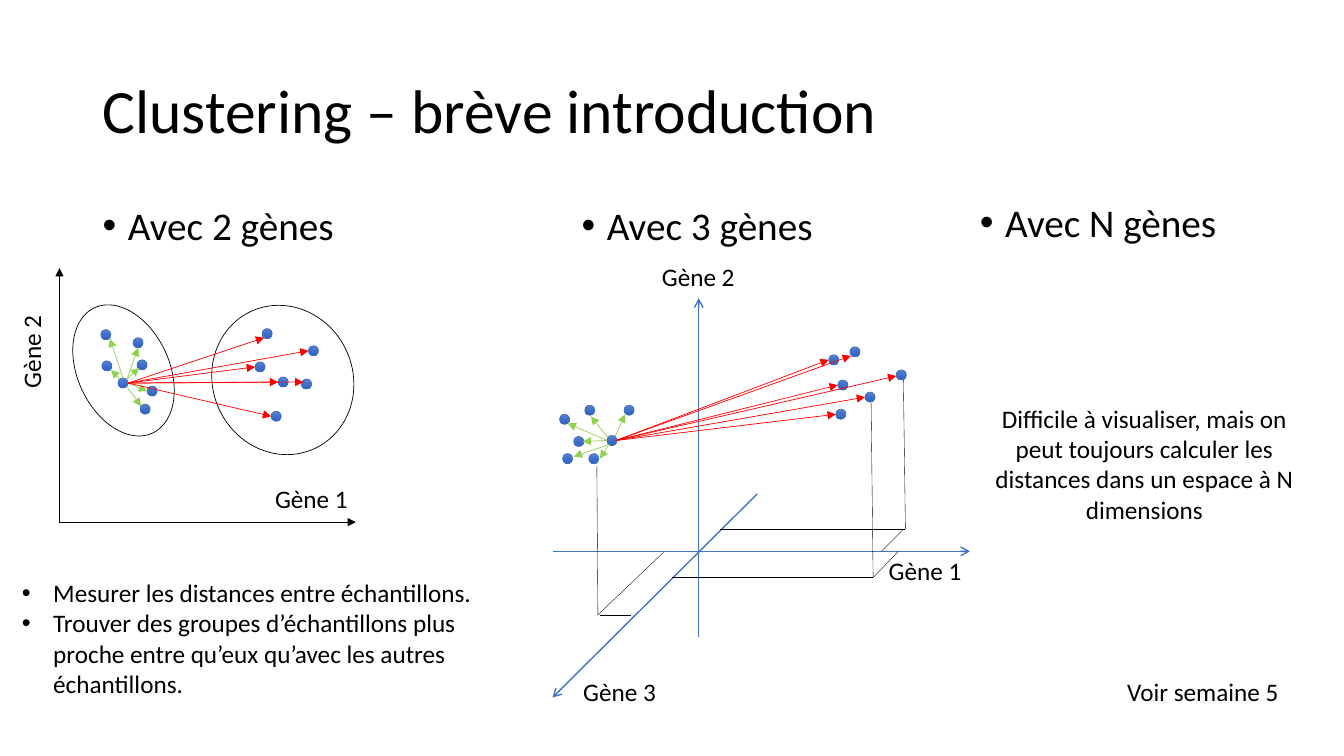
from copy import deepcopy
from typing import NamedTuple

from lxml.etree import SubElement
from pptx import Presentation
from pptx.dml.color import RGBColor
from pptx.enum.shapes import MSO_CONNECTOR, MSO_SHAPE
from pptx.enum.text import MSO_ANCHOR, PP_ALIGN
from pptx.oxml.ns import qn
from pptx.util import Pt

PX = 9144  # 100 px to the inch
FONT = "Calibri"
DOT = 10
HUES = {
    "black": "000000", "blue": "4472C4", "red": "FF0000", "green": "92D050",
    "light": "6183CB", "mid": "3E70CA", "dark": "3062BB",
}

Point = tuple[int, int]


class Label(NamedTuple):
    left: int
    top: int
    width: int
    height: int
    lines: list[str]
    size: int = 18
    align: PP_ALIGN = PP_ALIGN.LEFT
    anchor: MSO_ANCHOR = MSO_ANCHOR.TOP
    spacing: float = 1.0
    before: int = 0
    indent: int = 0
    turn: int = 0


class Ring(NamedTuple):
    left: int
    top: int
    width: int
    height: int
    turn: float


class Line(NamedTuple):
    start: Point
    end: Point
    hue: str = "black"
    weight: float = 0.25
    head: str = ""


class Fan(NamedTuple):
    start: Point
    hue: str
    tips: list[Point]


def heading(left: int, top: int, text: str) -> Label:
    return Label(left, top, 292, 77, [text], 28, spacing=0.9, before=10, indent=25)


def axis_name(left: int, top: int, text: str) -> Label:
    return Label(left, top, 135, 40, [text], align=PP_ALIGN.CENTER)


LABELS = [
    Label(92, 40, 1150, 145, ["Clustering – brève introduction"], 44,
          anchor=MSO_ANCHOR.MIDDLE, spacing=0.9),
    heading(92, 200, "Avec 2 gènes"),
    heading(567, 200, "Avec 3 gènes"),
    heading(962, 197, "Avec N gènes"),
    Label(263, 475, 138, 40, ["Gène 1"]),
    Label(-38, 306, 138, 40, ["Gène 2"], turn=270),
    axis_name(850, 546, "Gène 1"),
    axis_name(547, 666, "Gène 3"),
    axis_name(625, 254, "Gène 2"),
    Label(975, 395, 320, 131,
          ["Difficile à visualiser, mais on peut toujours calculer les "
           "distances dans un espace à N dimensions"], align=PP_ALIGN.CENTER),
    Label(12, 568, 474, 131,
          ["Mesurer les distances entre échantillons.",
           "Trouver des groupes d’échantillons plus proche entre qu’eux "
           "qu’avec les autres échantillons."], indent=31),
    Label(1108, 666, 181, 40, ["Voir semaine 5"]),
]

# Top left corner of each sample
FLAT = [(101, 358), (117, 375), (253, 359), (299, 376), (269, 408), (100, 327),
        (132, 335), (136, 357), (146, 383), (139, 401), (260, 326), (306, 343),
        (276, 374)]
SPACE = [(843, 344), (858, 389), (569, 433), (584, 450), (889, 367), (602, 432),
         (580, 402), (619, 402), (558, 450), (555, 411), (831, 377), (822, 352),
         (829, 406)]

RINGS = [Ring(77, 299, 91, 137, 335.2), Ring(211, 302, 139, 150, 335.2)]

AXES = [
    Line((59, 518), (59, 266), weight=0.5, head="triangle"),
    Line((59, 518), (353, 518), weight=0.5, head="triangle"),
    Line((693, 632), (693, 296), "blue", 1, "arrow"),
    Line((751, 490), (548, 692), "blue", 1, "arrow"),
    Line((548, 547), (962, 547), "blue", 1, "arrow"),
]

GUIDES = [
    Line((592, 463), (593, 610)),
    Line((595, 610), (626, 610)),
    Line((593, 610), (658, 548)),
    Line((864, 400), (866, 573)),
    Line((866, 573), (891, 547)),
    Line((667, 573), (866, 573)),
    Line((896, 376), (898, 525)),
    Line((714, 525), (898, 525)),
    Line((874, 547), (896, 525)),
]

FANS = [
    Fan((127, 380), "red", [(253, 364), (262, 335), (276, 379), (269, 413),
                            (301, 379), (306, 348)]),
    Fan((611, 437), "red", [(829, 411), (822, 357), (889, 373), (858, 394),
                            (831, 382), (844, 353)]),
]

# Short arrows leave from the rim of the sample
NEAR = [
    ((126, 376), (138, 365)), ((126, 376), (137, 345)), ((127, 380), (146, 388)),
    ((122, 375), (109, 336)), ((119, 376), (110, 367)), ((126, 384), (140, 403)),
    ((610, 433), (620, 411)), ((603, 434), (586, 413)), ((602, 437), (563, 420)),
    ((604, 441), (569, 453)), ((602, 437), (578, 438)), ((604, 441), (595, 455)),
]


def rgb(hue: str) -> RGBColor:
    return RGBColor.from_string(HUES[hue])


def add_label(shapes, label: Label) -> None:
    box = shapes.add_textbox(*(n * PX for n in label[:4]))
    box.rotation = label.turn
    frame = box.text_frame
    frame.word_wrap = True
    frame.vertical_anchor = label.anchor
    for i, text in enumerate(label.lines):
        para = frame.add_paragraph() if i else frame.paragraphs[0]
        para.alignment = label.align
        para.line_spacing = label.spacing
        para.space_before = Pt(label.before)
        run = para.add_run()
        run.text = text
        run.font.name = FONT
        run.font.size = Pt(label.size)
        run.font.color.rgb = rgb("black")
        if label.indent:
            props = para._p.get_or_add_pPr()
            props.set("marL", str(label.indent * PX))
            props.set("indent", str(-label.indent * PX))
            SubElement(props, qn("a:buFont"), typeface="Arial")
            SubElement(props, qn("a:buChar"), char="•")


def add_oval(shapes, ring: Ring, hue: str):
    oval = shapes.add_shape(MSO_SHAPE.OVAL, *(n * PX for n in ring[:4]))
    oval.rotation = ring.turn
    oval.shadow.inherit = False
    oval.fill.background()
    oval.line.color.rgb = rgb(hue)
    oval.line.width = Pt(0.5)
    return oval


def add_dot(shapes, spot: Point) -> None:
    dot = add_oval(shapes, Ring(*spot, DOT, DOT, 0), "blue")
    dot.fill.gradient()
    dot.fill.gradient_angle = 270
    stops = dot._element.spPr.find(qn("a:gradFill")).find(qn("a:gsLst"))
    stops.append(deepcopy(stops[0]))
    for i, hue in enumerate(("light", "mid", "dark")):
        stop = dot.fill.gradient_stops[i]
        stop.position = i / 2
        stop.color.rgb = rgb(hue)


def add_line(shapes, line: Line) -> None:
    ends = (n * PX for n in line.start + line.end)
    link = shapes.add_connector(MSO_CONNECTOR.STRAIGHT, *ends)
    link.line.color.rgb = rgb(line.hue)
    link.line.width = Pt(line.weight)
    if line.head:
        SubElement(link.line._get_or_add_ln(), qn("a:tailEnd"), type=line.head)
    SubElement(link._element.spPr, qn("a:effectLst"))


def main() -> None:
    deck = Presentation()
    deck.slide_width, deck.slide_height = 1333 * PX, 750 * PX
    shapes = deck.slides.add_slide(deck.slide_layouts[6]).shapes

    # Axes, guides and groups
    for line in AXES + GUIDES:
        add_line(shapes, line)
    for spot in FLAT + SPACE:
        add_dot(shapes, spot)
    for ring in RINGS:
        add_oval(shapes, ring, "black")

    # Wording
    for label in LABELS:
        add_label(shapes, label)

    # Distances between samples
    for start, end in NEAR:
        add_line(shapes, Line(start, end, "green", 0.5, "triangle"))
    for fan in FANS:
        for tip in fan.tips:
            add_line(shapes, Line(fan.start, tip, fan.hue, 0.5, "triangle"))

    deck.save("out.pptx")


if __name__ == "__main__":
    main()
